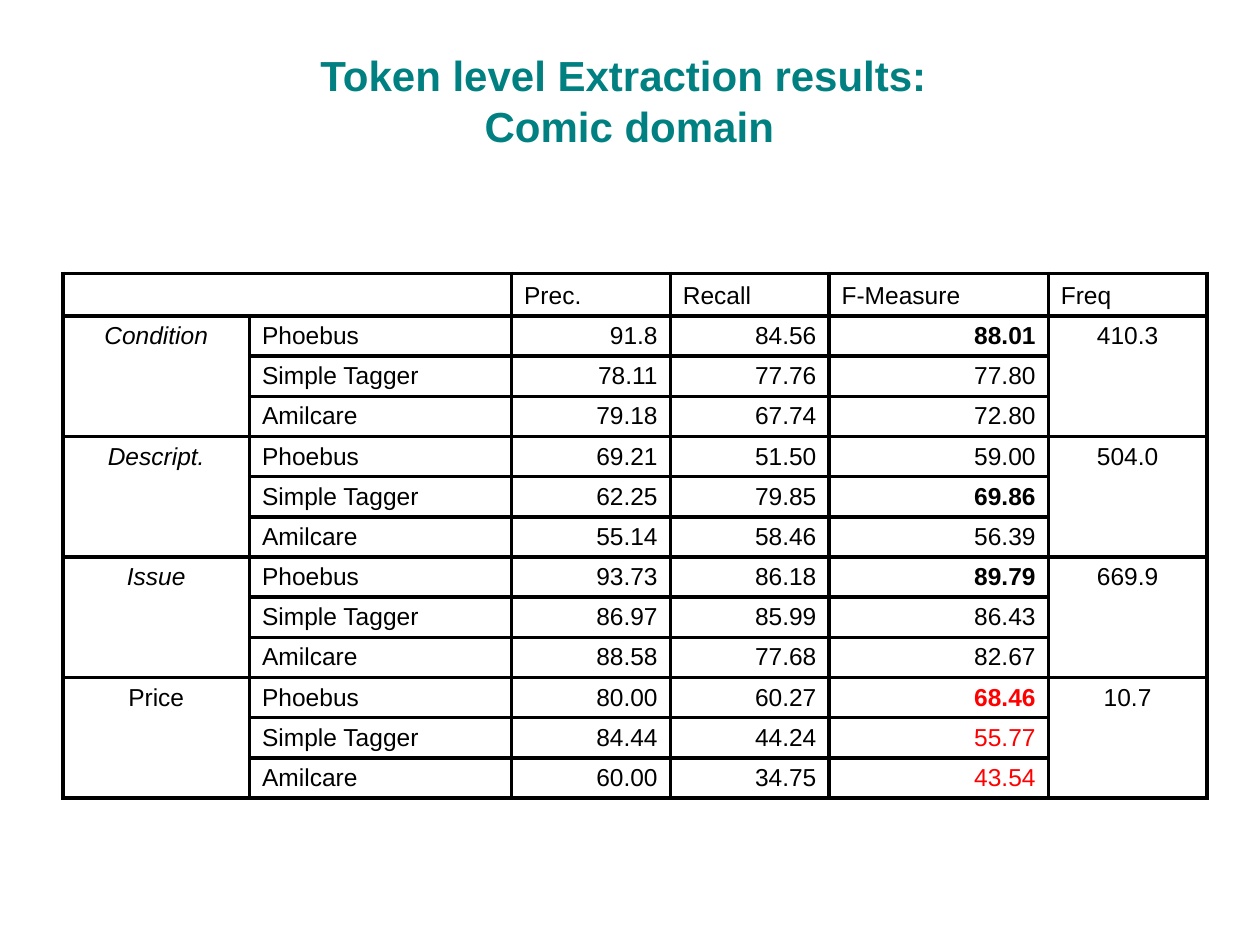
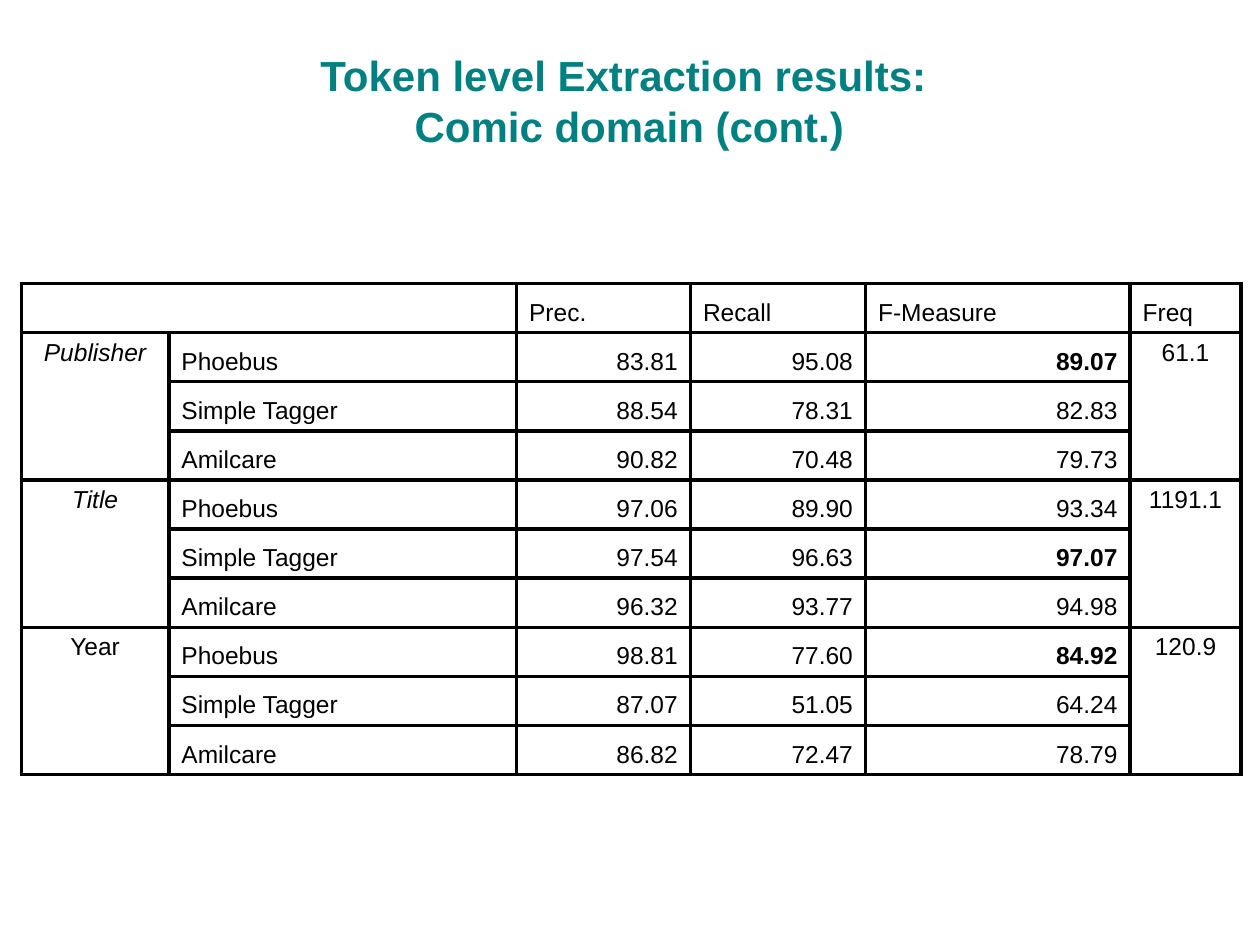
from dataclasses import dataclass

import pptx
import pptx.dml.color
import pptx.enum.text
import pptx.oxml
import pptx.oxml.ns
import pptx.util
from pptx.util import Inches

Align = pptx.enum.text.PP_ALIGN
Anchor = pptx.enum.text.MSO_ANCHOR


@dataclass(frozen=True)
class Theme:
    font: str = "Arial"
    title_color: str = "008080"
    text_color: str = "000000"
    alert_color: str = "FF0000"
    border_color: str = "000000"
    title_size: float = 24
    cell_size: float = 14
    border_width: float = 2.25


@dataclass(frozen=True)
class Attribute:
    """One extracted attribute: (precision, recall, F-measure) for each system."""
    name: str
    frequency: str
    scores: tuple[tuple[str, str, str], ...]
    italic: bool = True
    alert: bool = False


@dataclass(frozen=True)
class ResultPage:
    subtitle: str
    left: float
    top: float
    column_widths: tuple[float, ...]
    row_height: float
    attributes: tuple[Attribute, ...]


THEME = Theme()
TITLE = "Token level Extraction results: "
HEADINGS = ("Prec.", "Recall", "F-Measure", "Freq")
SYSTEMS = ("Phoebus", "Simple Tagger", "Amilcare")
F_COLUMN, FREQUENCY_COLUMN = 4, 5

PAGES = (
    ResultPage("Comic domain", 0.5, 2.17, (1.48, 2.08, 1.26, 1.26, 1.74, 1.26), 0.27, (
        Attribute("Condition", "410.3", (
            ("91.8", "84.56", "88.01"), ("78.11", "77.76", "77.80"), ("79.18", "67.74", "72.80"))),
        Attribute("Descript.", "504.0", (
            ("69.21", "51.50", "59.00"), ("62.25", "79.85", "69.86"), ("55.14", "58.46", "56.39"))),
        Attribute("Issue", "669.9", (
            ("93.73", "86.18", "89.79"), ("86.97", "85.99", "86.43"), ("88.58", "77.68", "82.67"))),
        Attribute("Price", "10.7", (
            ("80.00", "60.27", "68.46"), ("84.44", "44.24", "55.77"), ("60.00", "34.75", "43.54")),
            italic=False, alert=True),
    )),
    ResultPage("Comic domain (cont.)", 0.17, 2.25, (1.17, 2.76, 1.38, 1.39, 2.1, 0.88), 0.39, (
        Attribute("Publisher", "61.1", (
            ("83.81", "95.08", "89.07"), ("88.54", "78.31", "82.83"), ("90.82", "70.48", "79.73"))),
        Attribute("Title", "1191.1", (
            ("97.06", "89.90", "93.34"), ("97.54", "96.63", "97.07"), ("96.32", "93.77", "94.98"))),
        Attribute("Year", "120.9", (
            ("98.81", "77.60", "84.92"), ("87.07", "51.05", "64.24"), ("86.82", "72.47", "78.79")),
            italic=False),
    )),
)


def add_span(para, text: str, size: float, color: str, bold: bool = False,
             italic: bool = False) -> None:
    span = para.add_run()
    span.text = text
    span.font.name = THEME.font
    span.font.size = pptx.util.Pt(size)
    span.font.bold = bold
    span.font.italic = italic
    span.font.color.rgb = pptx.dml.color.RGBColor.from_string(color)


def add_title(page, subtitle: str) -> None:
    box = page.shapes.title
    box.left, box.top = Inches(0.33), Inches(0.17)
    box.width, box.height = Inches(9.33), Inches(1.25)
    frame = box.text_frame
    frame.auto_size = pptx.enum.text.MSO_AUTO_SIZE.NONE
    frame.vertical_anchor = Anchor.MIDDLE
    para = frame.paragraphs[0]
    para.alignment = Align.CENTER
    add_span(para, TITLE, THEME.title_size, THEME.title_color, bold=True)
    para.add_line_break()
    add_span(para, subtitle, THEME.title_size, THEME.title_color, bold=True)


def prepare_cell(cell) -> None:
    """Give a cell its four borders, no fill, and the table's size for empty text."""
    properties = cell._tc.get_or_add_tcPr()
    width = pptx.util.Pt(THEME.border_width)
    for side in ("lnL", "lnR", "lnT", "lnB"):
        properties.append(pptx.oxml.parse_xml(
            f'<a:{side} {pptx.oxml.ns.nsdecls("a")} w="{int(width)}"><a:solidFill>'
            f'<a:srgbClr val="{THEME.border_color}"/></a:solidFill></a:{side}>'))
    cell.fill.background()
    para = cell.text_frame.paragraphs[0]
    para._p.get_or_add_endParaRPr().set("sz", str(int(THEME.cell_size * 100)))


def fill_cell(cell, text: str, align: Align = Align.LEFT, anchor: Anchor = Anchor.BOTTOM,
              color: str = THEME.text_color, bold: bool = False, italic: bool = False) -> None:
    cell.vertical_anchor = anchor
    para = cell.text_frame.paragraphs[0]
    para.alignment = align
    add_span(para, text, THEME.cell_size, color, bold, italic)


def fill_attribute(table, first_row: int, attribute: Attribute) -> None:
    """Fill the rows of one attribute; its best F-measure is bold."""
    last_row = first_row + len(SYSTEMS) - 1
    for column, text, italic in ((0, attribute.name, attribute.italic),
                                 (FREQUENCY_COLUMN, attribute.frequency, False)):
        cell = table.cell(first_row, column)
        cell.merge(table.cell(last_row, column))
        fill_cell(cell, text, Align.CENTER, Anchor.TOP, italic=italic)

    best = max(float(scores[-1]) for scores in attribute.scores)
    for row, (system, scores) in enumerate(zip(SYSTEMS, attribute.scores), first_row):
        fill_cell(table.cell(row, 1), system)
        for column, score in enumerate(scores, 2):
            is_f = column == F_COLUMN
            fill_cell(table.cell(row, column), score, Align.RIGHT,
                      color=THEME.alert_color if is_f and attribute.alert else THEME.text_color,
                      bold=is_f and float(score) == best)


def add_results(page, result: ResultPage) -> None:
    row_count = 1 + len(SYSTEMS) * len(result.attributes)
    table = page.shapes.add_table(
        row_count, len(result.column_widths), Inches(result.left), Inches(result.top),
        Inches(sum(result.column_widths)), Inches(result.row_height * row_count)).table
    table.first_row = table.horz_banding = False
    for column, width in zip(table.columns, result.column_widths):
        column.width = Inches(width)
    for row in table.rows:
        row.height = Inches(result.row_height)
    for cell in table.iter_cells():
        prepare_cell(cell)

    table.cell(0, 0).merge(table.cell(0, 1))
    for column, heading in enumerate(HEADINGS, 2):
        fill_cell(table.cell(0, column), heading)
    for index, attribute in enumerate(result.attributes):
        fill_attribute(table, 1 + index * len(SYSTEMS), attribute)


def main() -> None:
    deck = pptx.Presentation()
    deck.slide_width, deck.slide_height = Inches(10), Inches(7.5)
    title_only = deck.slide_layouts[5]
    for result in PAGES:
        page = deck.slides.add_slide(title_only)
        add_title(page, result.subtitle)
        add_results(page, result)
    deck.save("out.pptx")


if __name__ == "__main__":
    main()
